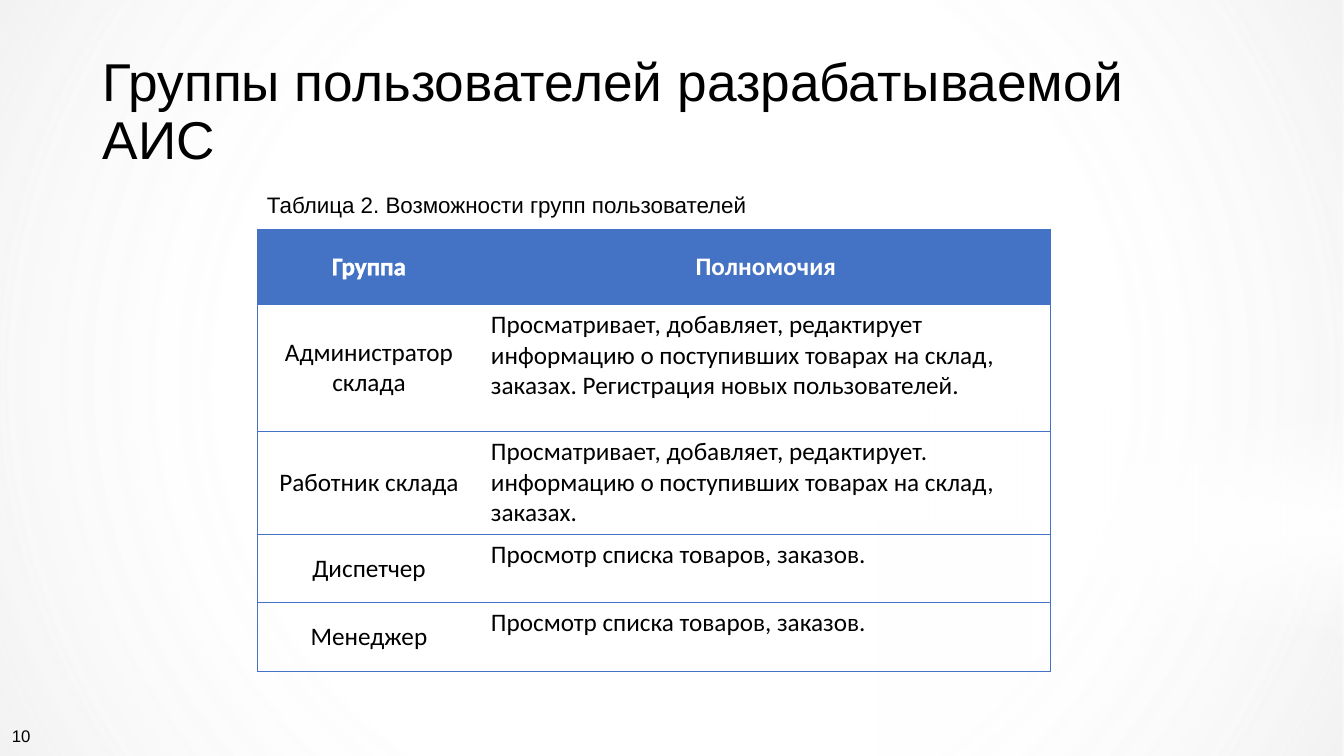
from lxml import etree
from pptx import Presentation
from pptx.dml.color import RGBColor
from pptx.enum.shapes import MSO_SHAPE
from pptx.enum.text import MSO_ANCHOR, PP_ALIGN
from pptx.oxml.ns import qn
from pptx.util import Inches, Pt

RECT = MSO_SHAPE.RECTANGLE
TOP, MIDDLE = MSO_ANCHOR.TOP, MSO_ANCHOR.MIDDLE
LEFT, CENTER, RIGHT = PP_ALIGN.LEFT, PP_ALIGN.CENTER, PP_ALIGN.RIGHT

COLORS = {"white": "FFFFFF", "edge": "F2F2F2", "black": "000000", "blue": "4472C4"}
PLAIN_STYLE = "{2D5ABB26-0587-4C30-8999-92F81FD0307C}"

# box, rotation, colour at the far end, radial or not
GLOWS = [
    ((0, 0, 13.33, 7.5), 0, "edge", True),
    ((8.7, 5.19, 4.64, 2.31), 0, "white", False),
    ((9.08, 4.8, 2.31, 3.08), 270, "white", False),
    ((8.7, 2.87, 4.64, 2.31), 180, "white", False),
]
WIDTHS = [2.22, 5.65]
HEIGHTS = [0.75, 1.26, 1.02, 0.68, 0.68]
ROWS = [
    ("Группа", "Полномочия"),
    ("Администратор склада",
     "Просматривает, добавляет, редактирует информацию о поступивших товарах "
     "на склад, заказах. Регистрация новых пользователей."),
    ("Работник склада",
     "Просматривает, добавляет, редактирует. информацию о поступивших товарах "
     "на склад, заказах."),
    ("Диспетчер", "Просмотр списка товаров, заказов."),
    ("Менеджер", "Просмотр списка товаров, заказов."),
]


def color(name):
    return RGBColor.from_string(COLORS[name])


def write(frame, text, size, face="Arial", ink="black", align=LEFT, bold=False):
    """Fill a text frame with one formatted paragraph."""
    frame.text = text
    frame.word_wrap = True
    para = frame.paragraphs[0]
    para.alignment = align
    font = para.font
    font.size, font.name, font.bold = Pt(size), face, bold
    font.color.rgb = color(ink)
    return para


def make_line(tag, name, width):
    """Return a solid line element for a cell border or a text outline."""
    line = etree.Element(qn(tag), w=str(Pt(width)))
    fill = etree.SubElement(line, qn("a:solidFill"))
    etree.SubElement(fill, qn("a:srgbClr"), val=COLORS[name])
    return line


def make_fade(name, radial):
    """Return a gradient from clear white, up to its middle, to a colour."""
    grad = etree.Element(qn("a:gradFill"), rotWithShape="1")
    stops = etree.SubElement(grad, qn("a:gsLst"))
    for place, ink in [(0, "white"), (50, "white"), (100, name)]:
        stop = etree.SubElement(stops, qn("a:gs"), pos=str(place * 1000))
        tone = etree.SubElement(stop, qn("a:srgbClr"), val=COLORS[ink])
        if place < 100:
            etree.SubElement(tone, qn("a:alpha"), val="0")
    if radial:
        ring = etree.SubElement(grad, qn("a:path"), path="circle")
        etree.SubElement(ring, qn("a:fillToRect"), dict.fromkeys("ltrb", "50000"))
    else:
        etree.SubElement(grad, qn("a:lin"), ang=str(270 * 60000), scaled="0")
    return grad


def add_glow(slide, layer, box, turn, name, radial):
    """Lay a fading rectangle behind the content."""
    shape = slide.shapes.add_shape(RECT, *map(Inches, box))
    shape.shadow.inherit = False
    shape.rotation = turn
    shape.line.fill.background()
    shape.fill.background()
    props = shape._element.spPr
    props.replace(props.find(qn("a:noFill")), make_fade(name, radial))
    slide.shapes._spTree.insert(2 + layer, shape._element)


def set_title(slide, text):
    title = slide.shapes.title
    title.left, title.top = Inches(0.92), Inches(0.4)
    title.width, title.height = Inches(11.5), Inches(1.45)
    title.text_frame.vertical_anchor = MIDDLE
    write(title.text_frame, text, 38).line_spacing = 0.9


def add_label(slide, text, box, size, align=LEFT, anchor=TOP):
    shape = slide.shapes.add_textbox(*map(Inches, box))
    shape.text_frame.vertical_anchor = anchor
    write(shape.text_frame, text, size, align=align)


def fill_cell(cell, text, head, first):
    """Write a cell; only the outer sides and row edges get borders."""
    mid = head or first
    cell.vertical_anchor = MIDDLE if mid else TOP
    para = write(cell.text_frame, text, 18, "Calibri",
                 "white" if head else "black", CENTER if mid else LEFT, head)
    if head and first:
        props = para.runs[0].font._element
        props.insert(0, make_line("a:ln", "white", 0.75))
    if head:
        cell.fill.solid()
        cell.fill.fore_color.rgb = color("blue")
    else:
        cell.fill.background()
    props = cell._tc.get_or_add_tcPr()
    tags = ["a:lnL" if first else "a:lnR", "a:lnT", "a:lnB"]
    for i, tag in enumerate(tags):
        props.insert(i, make_line(tag, "blue", 0.5))


def add_grid(slide, left, top):
    size = Inches(sum(WIDTHS)), Inches(sum(HEIGHTS))
    frame = slide.shapes.add_table(len(ROWS), len(WIDTHS),
                                   Inches(left), Inches(top), *size)
    table = frame.table
    table.first_row = table.horz_banding = False
    table._tbl.tblPr.find(qn("a:tableStyleId")).text = PLAIN_STYLE
    for col, width in zip(table.columns, WIDTHS):
        col.width = Inches(width)
    for r, (row, height) in enumerate(zip(table.rows, HEIGHTS)):
        row.height = Inches(height)
        for c, text in enumerate(ROWS[r]):
            fill_cell(table.cell(r, c), text, r == 0, c == 0)


def main():
    deck = Presentation()
    deck.slide_width, deck.slide_height = Inches(13.33), Inches(7.5)
    slide = deck.slides.add_slide(deck.slide_layouts[5])
    for layer, glow in enumerate(GLOWS):
        add_glow(slide, layer, *glow)
    set_title(slide, "Группы пользователей разрабатываемой АИС")
    add_grid(slide, 2.55, 2.27)
    add_label(slide, "Таблица 2. Возможности групп пользователей",
              (2.55, 1.85, 6.43, 0.37), 16)
    add_label(slide, "10", (-2.6, 7.1, 3, 0.4), 12, RIGHT, MIDDLE)
    deck.save("out.pptx")


if __name__ == "__main__":
    main()
